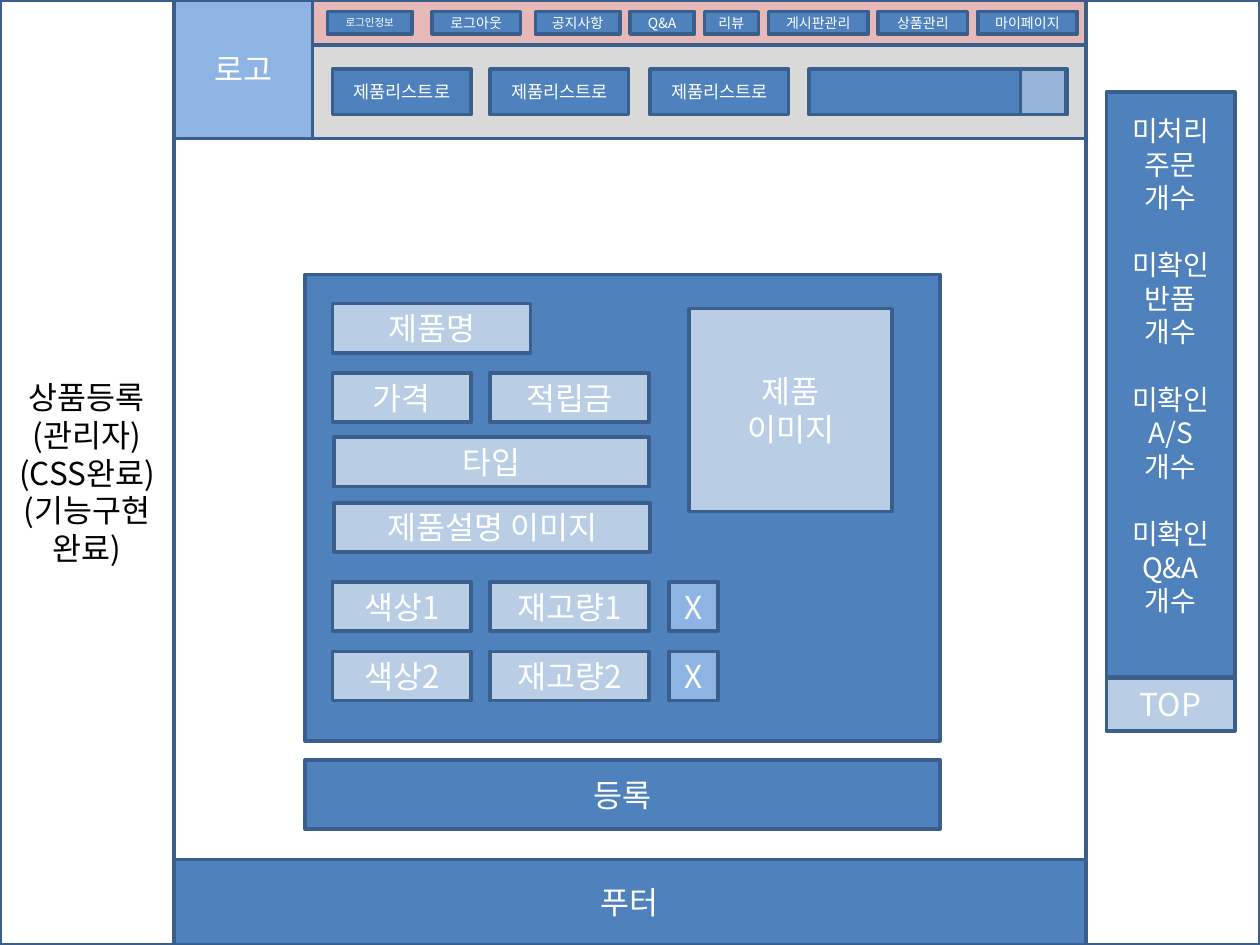
"""Build the wireframe slide of an admin product registration page."""
import pptx
import pptx.dml.color
import pptx.enum.shapes
import pptx.enum.text
import pptx.util
from lxml import etree
from pptx.util import Inches

FONT = "Noto Sans CJK KR"
COLORS = {
    "white": "FFFFFF", "black": "000000", "line": "3A5F8C", "blue": "4F81BD",
    "sky": "8EB4E3", "mist": "95B3D7", "pale": "B9CDE5", "gray": "D9D9D9",
    "pink": "E6B9B8",
}
PAGE_X, PAGE_W = 1.38, 7.24
PAGE_END = PAGE_X + PAGE_W
LOGO = 1.1
COL_1, COL_2, COL_3 = 2.64, 3.89, 5.31
FIELD_H = 0.39


def rgb(name):
    return pptx.dml.color.RGBColor.from_string(COLORS[name])


def add_run(p, text, size, color):
    r = p.add_run()
    r.text = text
    r.font.size = pptx.util.Pt(size)
    r.font.name = FONT
    r.font.color.rgb = rgb(color)
    ea = etree.Element(pptx.oxml.ns.qn("a:ea"), typeface=FONT)
    r.font._element.find(pptx.oxml.ns.qn("a:latin")).addnext(ea)


def add_box(slide, x, y, w, h, fill, lines=(), size=18, color="white"):
    sp = slide.shapes.add_shape(
        pptx.enum.shapes.MSO_SHAPE.RECTANGLE,
        Inches(x), Inches(y), Inches(w), Inches(h))
    sp.shadow.inherit = False
    sp.fill.solid()
    sp.fill.fore_color.rgb = rgb(fill)
    sp.line.color.rgb = rgb("line")
    sp.line.width = pptx.util.Pt(2)
    tf = sp.text_frame
    tf.word_wrap = True
    tf.vertical_anchor = pptx.enum.text.MSO_ANCHOR.MIDDLE
    for i, text in enumerate(lines):
        p = tf.add_paragraph() if i else tf.paragraphs[0]
        p.alignment = pptx.enum.text.PP_ALIGN.CENTER
        add_run(p, text, size, color)
    return sp


def add_frame(slide):
    add_box(slide, PAGE_END, 0, 10 - PAGE_END, 7.5, "white")
    add_box(slide, 0, 0, PAGE_X, 7.5, "white",
            ["상품등록(관리자)", "(CSS완료)", "(기능구현 완료)"], color="black")
    add_box(slide, PAGE_X, 0, PAGE_W, LOGO, "gray")
    add_box(slide, PAGE_X, 0, LOGO, LOGO, "sky", ["로고"])
    add_box(slide, PAGE_X + LOGO, 0, PAGE_W - LOGO, 0.36, "pink")
    add_box(slide, PAGE_X, 6.82, PAGE_W, 0.68, "blue", ["푸터"])


def add_header(slide):
    for x in (COL_1, COL_2, 5.16):
        add_box(slide, x, 0.55, 1.1, 0.36, "blue", ["제품리스트로"], 10)
    add_box(slide, 6.42, 0.55, 2.05, 0.36, "blue")
    add_box(slide, 8.1, 0.55, 0.36, 0.36, "mist")
    menu = [
        (2.6, 0.67, "로그인정보", 6), (3.43, 0.7, "로그아웃", 8),
        (4.25, 0.67, "공지사항", 8), (5, 0.51, "Q&A", 8),
        (5.59, 0.43, "리뷰", 8), (6.1, 0.79, "게시판관리", 8),
        (6.97, 0.71, "상품관리", 8), (7.76, 0.79, "마이페이지", 8),
    ]
    for x, w, text, size in menu:
        add_box(slide, x, 0.09, w, 0.18, "blue", [text], size)


def add_form(slide):
    add_box(slide, 2.42, 2.18, 5.04, 3.7, "blue")
    add_box(slide, 2.42, 6.03, 5.04, 0.55, "blue", ["등록"])
    add_box(slide, 5.47, 2.45, 1.61, 1.61, "pale", ["제품", "이미지"])
    fields = [
        (COL_1, 2.41, 1.57, "제품명"), (COL_1, 2.96, 1.1, "가격"),
        (COL_2, 2.96, 1.26, "적립금"), (2.65, 3.47, 2.5, "타입"),
        (2.65, 3.99, 2.51, "제품설명 이미지"),
    ]
    for x, y, w, text in fields:
        add_box(slide, x, y, w, FIELD_H, "pale", [text])
    for number, y in enumerate((4.62, 5.17), 1):
        add_box(slide, COL_1, y, 1.1, FIELD_H, "pale", [f"색상{number}"])
        add_box(slide, COL_2, y, 1.26, FIELD_H, "pale", [f"재고량{number}"])
        add_box(slide, COL_3, y, FIELD_H, FIELD_H, "sky", ["X"])


def add_status_bar(slide):
    topics = ["미처리 주문", "미확인 반품", "미확인 A/S", "미확인 Q&A"]
    lines = [text for topic in topics for text in (topic, "개수")]
    tf = add_box(slide, 8.78, 0.73, 1.02, 4.64, "blue", lines, 16).text_frame
    tf.margin_bottom = Inches(0.35)
    for p in tf.paragraphs[2::2]:
        p.space_before = pptx.util.Pt(19.2)
    add_box(slide, 8.78, 5.38, 1.02, 0.42, "pale", ["TOP"])


def main():
    prs = pptx.Presentation()
    prs.slide_width = Inches(10)
    prs.slide_height = Inches(7.5)
    slide = prs.slides.add_slide(prs.slide_layouts[6])
    add_frame(slide)
    add_header(slide)
    add_form(slide)
    add_status_bar(slide)
    prs.save("out.pptx")


main()
